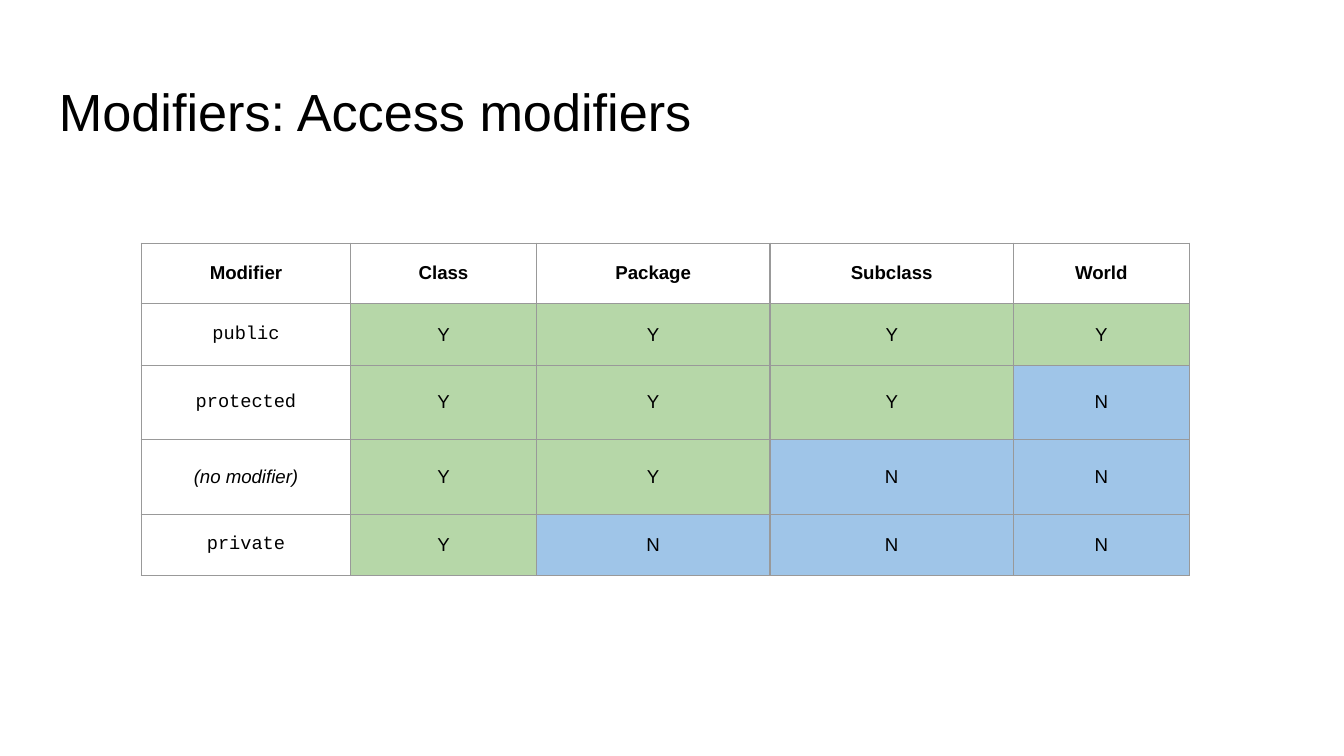
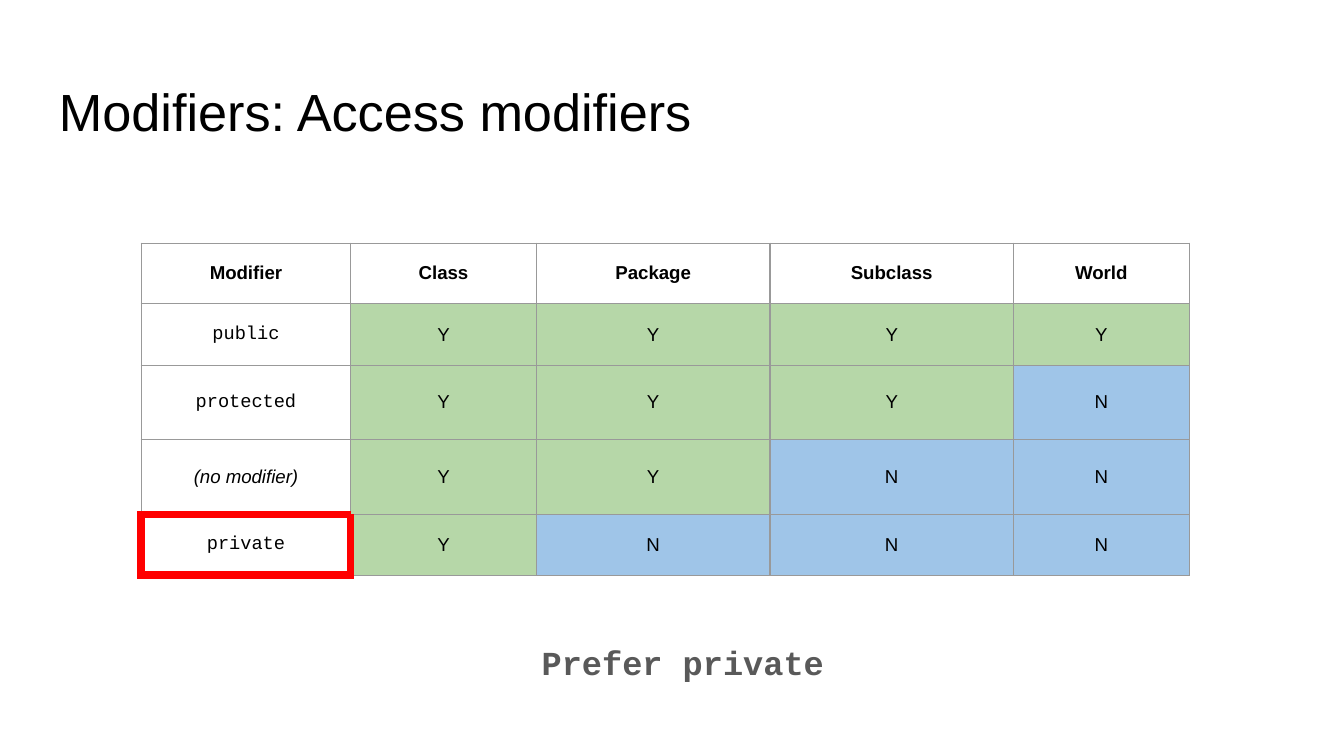
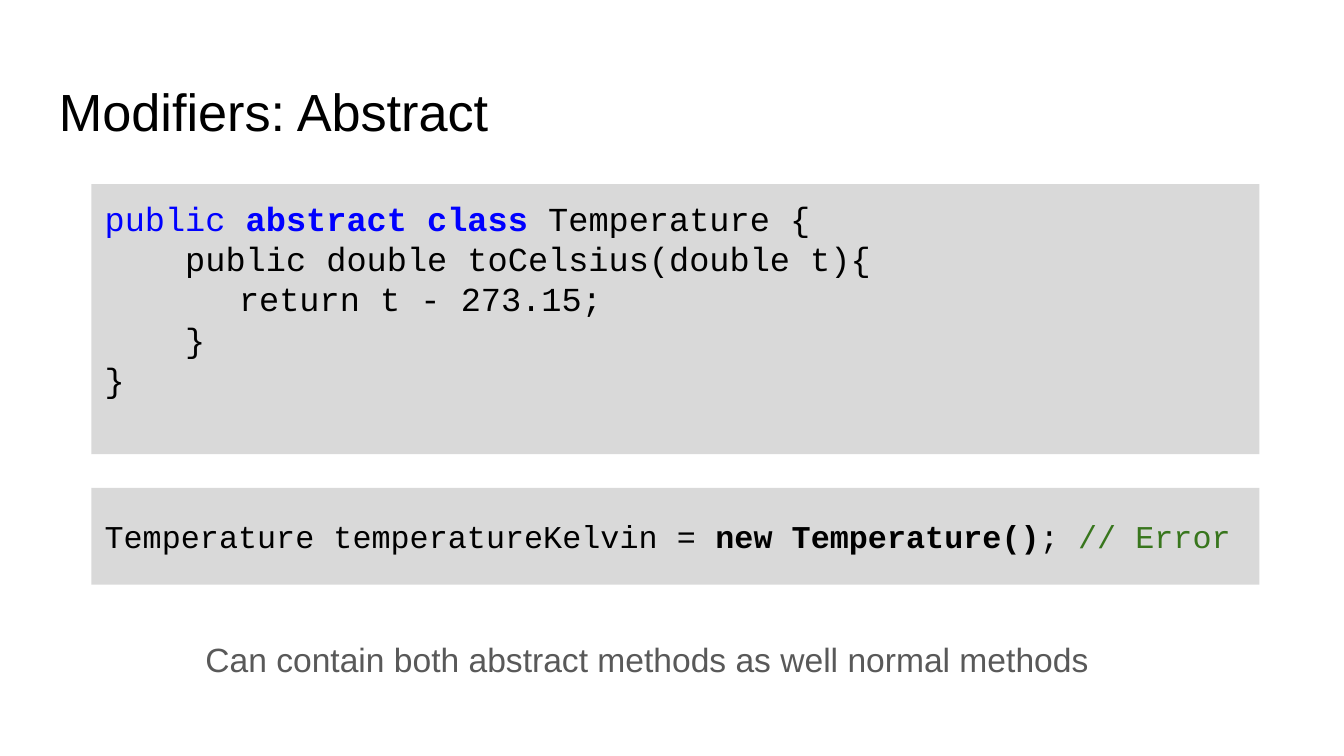
import dataclasses

import pptx
import pptx.dml.color
import pptx.enum.shapes
import pptx.enum.text
import pptx.oxml
import pptx.oxml.ns
import pptx.util

Inches = pptx.util.Inches
Pt = pptx.util.Pt
ALIGN = pptx.enum.text.PP_ALIGN
ANCHOR = pptx.enum.text.MSO_ANCHOR


@dataclasses.dataclass(frozen=True)
class Theme:
    sans: str = "Arial"
    mono: str = "Courier New"
    ink: str = "000000"
    note: str = "595959"
    keyword: str = "0000FF"
    comment: str = "38761D"
    panel: str = "D9D9D9"
    allowed: str = "B6D7A8"
    denied: str = "9FC5E8"
    grid: str = "999999"
    highlight: str = "FF0000"
    grid_width: float = 0.75
    highlight_width: float = 4.5
    title_size: int = 28
    body_size: int = 18
    call_size: int = 17
    cell_size: int = 10
    inset: float = 0.1


THEME = Theme()
PAGE_WIDTH = 10
PAGE_HEIGHT = PAGE_WIDTH * 9 / 16

ACCESS_TITLE = "Modifiers: Access modifiers"
ACCESS_HEADER = ["Modifier", "Class", "Package", "Subclass", "World"]
ACCESS_LEVELS = [
    ("public", "YYYY"),
    ("protected", "YYYN"),
    ("(no modifier)", "YYNN"),
    ("private", "YNNN"),
]
COLUMN_WIDTHS = [1.56, 1.38, 1.74, 1.81, 1.31]
ROW_HEIGHTS = [0.45, 0.46, 0.55, 0.56, 0.45]
TABLE_CORNER = (1.05, 1.81)
PRIVATE_CELL = (4, 0)
PREFERENCE = "Prefer private"

ABSTRACT_TITLE = "Modifiers: Abstract"
# Each code line: indent in inches, then spans of text, colour and bold.
CLASS_CODE = [
    (0, [("public ", THEME.keyword, False),
         ("abstract class ", THEME.keyword, True),
         ("Temperature {", THEME.ink, False)]),
    (0.6, [("public double toCelsius(double t){", THEME.ink, False)]),
    (1, [("return t - 273.15;", THEME.ink, False)]),
    (0.6, [("}", THEME.ink, False)]),
    (0, [("}", THEME.ink, False)]),
]
CALL_CODE = [
    (0, [("Temperature temperatureKelvin = ", THEME.ink, False),
         ("new Temperature()", THEME.ink, True),
         (";", THEME.ink, False),
         (" // Error", THEME.comment, False)]),
]
ABSTRACT_NOTE = "Can contain both abstract methods as well normal methods"


def rgb(colour):
    return pptx.dml.color.RGBColor.from_string(colour)


def style_font(font, name, size, colour, bold=False, italic=False):
    font.name, font.size = name, Pt(size)
    font.bold, font.italic = bold, italic
    font.color.rgb = rgb(colour)


def set_insets(holder):
    """Give a text frame or a table cell the shared margins."""
    for side in ("left", "right", "top", "bottom"):
        setattr(holder, f"margin_{side}", Inches(THEME.inset))


def indent(para, left, first=0):
    properties = para._p.get_or_add_pPr()
    properties.set("marL", str(Inches(left)))
    properties.set("indent", str(Inches(first)))


def add_text(page, place, text, size, colour, font=THEME.sans, bold=False):
    box = page.shapes.add_textbox(*map(Inches, place))
    box.text_frame.word_wrap = True
    set_insets(box.text_frame)
    para = box.text_frame.paragraphs[0]
    para.text = text
    style_font(para.font, font, size, colour, bold)
    return para


def add_note(page, place, text, left, **style):
    para = add_text(page, place, text, THEME.body_size, THEME.note, **style)
    para.line_spacing = 1.15
    indent(para, left, -0.25)
    return para


def add_page(deck, title):
    page = deck.slides.add_slide(deck.slide_layouts[6])
    add_text(page, (0.34, 0.49, 9.32, 0.63), title, THEME.title_size, THEME.ink)
    return page


def add_border(cell, side, colour, width):
    cell._tc.get_or_add_tcPr().append(pptx.oxml.parse_xml(
        f'<a:ln{side} {pptx.oxml.ns.nsdecls("a")} w="{Pt(width)}">'
        f'<a:solidFill><a:srgbClr val="{colour}"/></a:solidFill></a:ln{side}>'))


def add_borders(cell, row, column, marked):
    """Draw the grid, with a heavy edge wherever the marked cell is touched."""
    neighbours = {"L": (row, column - 1), "R": (row, column + 1),
                  "T": (row - 1, column), "B": (row + 1, column)}
    for side, neighbour in neighbours.items():
        if marked in ((row, column), neighbour):
            add_border(cell, side, THEME.highlight, THEME.highlight_width)
        else:
            add_border(cell, side, THEME.grid, THEME.grid_width)


def fill_cell(cell, text, row, column):
    set_insets(cell)
    cell.vertical_anchor = ANCHOR.MIDDLE
    para = cell.text_frame.paragraphs[0]
    para.text = text
    para.alignment = ALIGN.CENTER
    keyless = text.startswith("(")
    is_code = row > 0 and column == 0 and not keyless
    style_font(para.font, THEME.mono if is_code else THEME.sans,
               THEME.cell_size, THEME.ink, bold=row == 0, italic=keyless)
    if row and column:
        cell.fill.solid()
        cell.fill.fore_color.rgb = rgb(THEME.allowed if text == "Y" else THEME.denied)
    else:
        cell.fill.background()


def add_access_table(page, marked=None):
    rows = [ACCESS_HEADER] + [[name, *access] for name, access in ACCESS_LEVELS]
    size = (sum(COLUMN_WIDTHS), sum(ROW_HEIGHTS))
    table = page.shapes.add_table(
        len(rows), len(ACCESS_HEADER), *map(Inches, TABLE_CORNER + size)).table
    table.first_row = table.horz_banding = False
    for column, width in zip(table.columns, COLUMN_WIDTHS):
        column.width = Inches(width)
    for row, height in zip(table.rows, ROW_HEIGHTS):
        row.height = Inches(height)
    for row, texts in enumerate(rows):
        for column, text in enumerate(texts):
            cell = table.cell(row, column)
            add_borders(cell, row, column, marked)
            fill_cell(cell, text, row, column)


def add_code(page, place, lines, size, anchor):
    panel = page.shapes.add_shape(
        pptx.enum.shapes.MSO_SHAPE.RECTANGLE, *map(Inches, place))
    panel.shadow.inherit = False
    panel.fill.solid()
    panel.fill.fore_color.rgb = rgb(THEME.panel)
    panel.line.fill.background()
    frame = panel.text_frame
    frame.word_wrap = True
    frame.vertical_anchor = anchor
    set_insets(frame)
    for number, (left, spans) in enumerate(lines):
        para = frame.add_paragraph() if number else frame.paragraphs[0]
        para.alignment = ALIGN.LEFT
        indent(para, left)
        for text, colour, bold in spans:
            span = para.add_run()
            span.text = text
            style_font(span.font, THEME.mono, size, colour, bold)


def main():
    deck = pptx.Presentation()
    deck.slide_width, deck.slide_height = Inches(PAGE_WIDTH), Inches(PAGE_HEIGHT)

    add_access_table(add_page(deck, ACCESS_TITLE))

    page = add_page(deck, ACCESS_TITLE)
    add_access_table(page, PRIVATE_CELL)
    preference = add_note(page, (1.05, 4.63, 7.81, 0.71), PREFERENCE, 0.5,
                          font=THEME.mono, bold=True)
    preference.alignment = ALIGN.CENTER

    page = add_page(deck, ABSTRACT_TITLE)
    add_code(page, (0.68, 1.37, 8.69, 2.01), CLASS_CODE, THEME.body_size, ANCHOR.TOP)
    add_code(page, (0.68, 3.63, 8.69, 0.72), CALL_CODE, THEME.call_size, ANCHOR.MIDDLE)
    add_note(page, (0.68, 4.61, 8.69, 0.67), ABSTRACT_NOTE, 1)

    deck.save("out.pptx")


if __name__ == "__main__":
    main()
